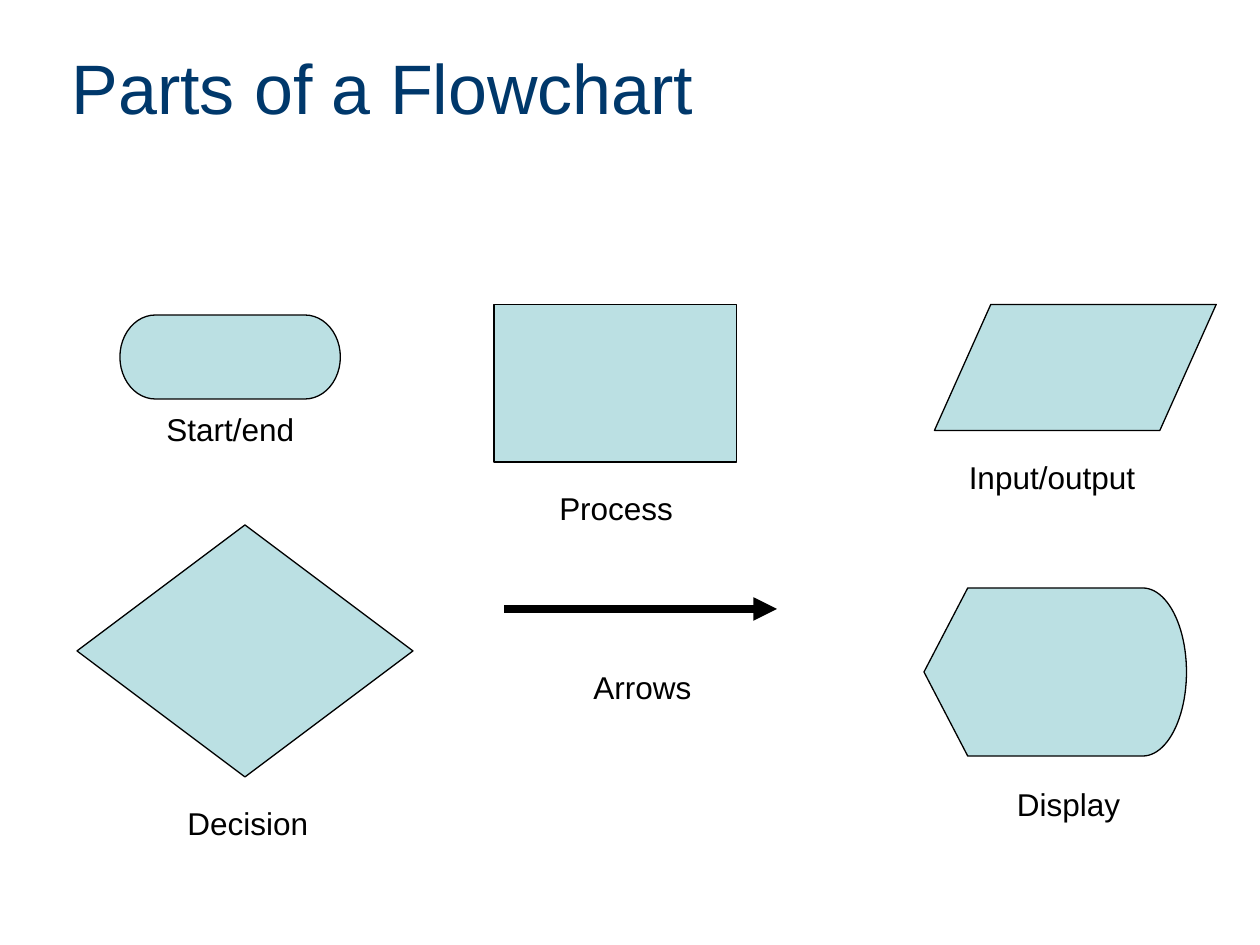
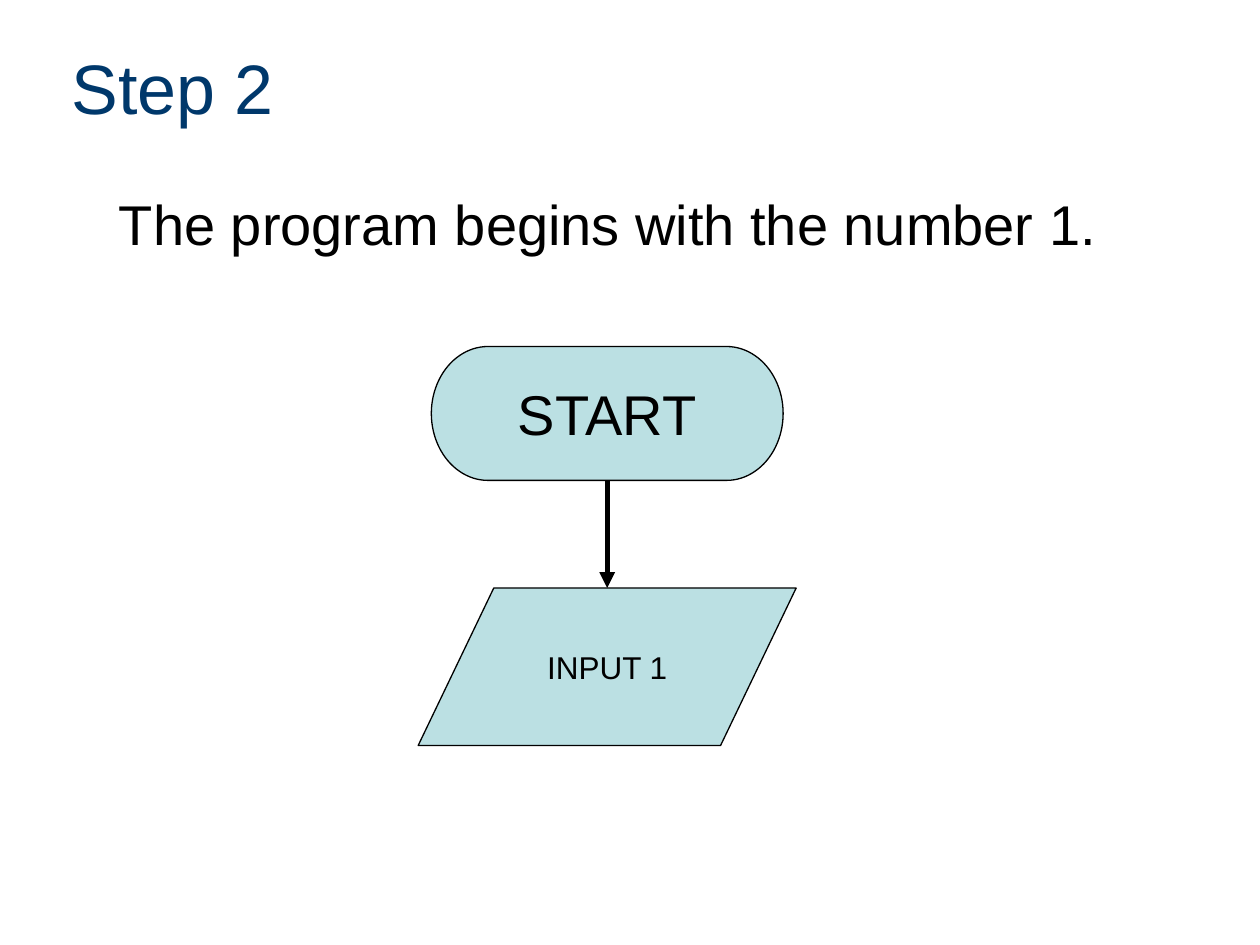
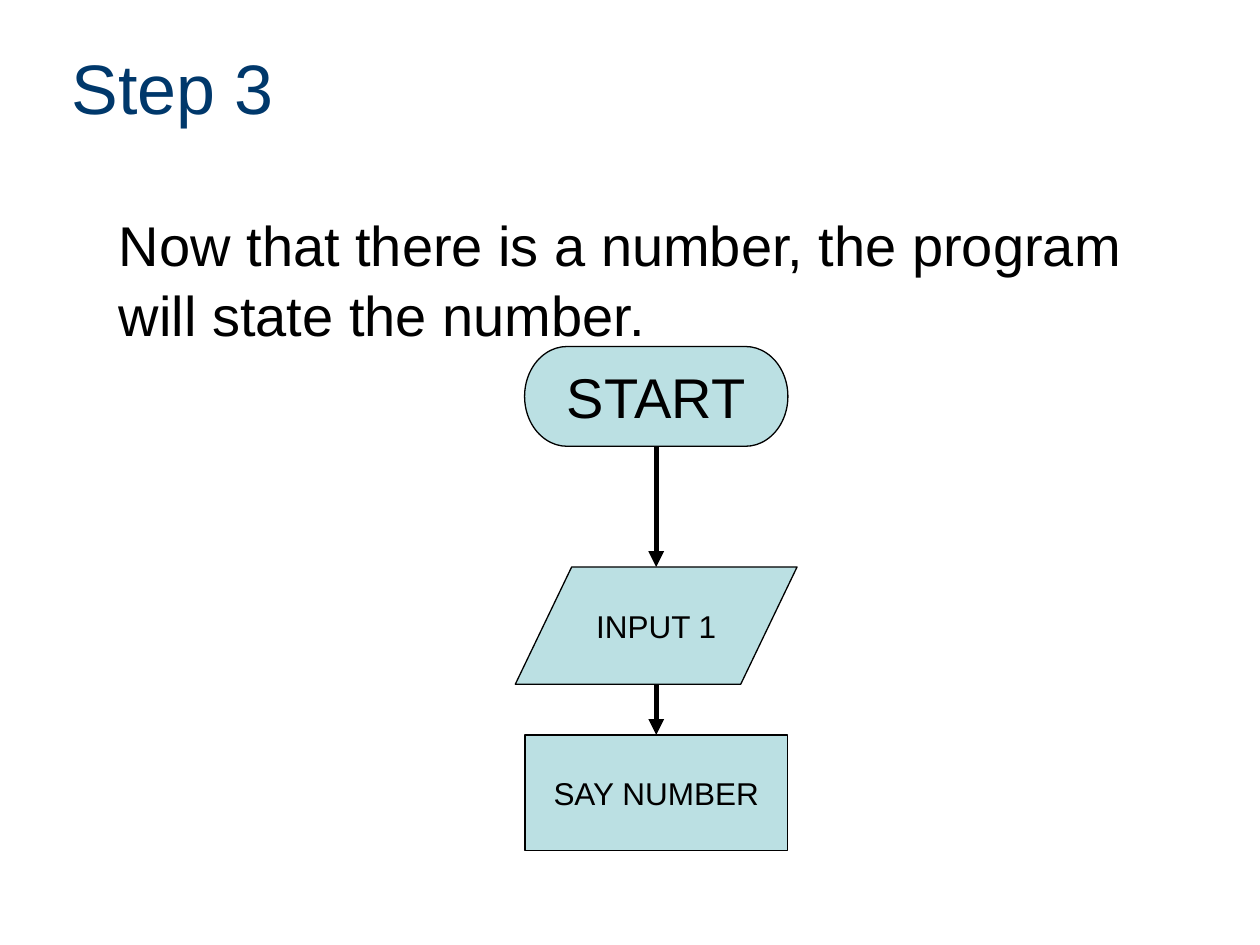
"""Build three slides that introduce flowchart symbols and two program steps."""
from dataclasses import dataclass

from lxml.etree import SubElement
from pptx import Presentation
from pptx.dml.color import RGBColor
from pptx.enum.shapes import MSO_CONNECTOR, MSO_SHAPE as SHAPE
from pptx.enum.text import MSO_ANCHOR as ANCHOR, MSO_AUTO_SIZE as AUTO, PP_ALIGN as ALIGN
from pptx.oxml.ns import qn
from pptx.util import Pt


@dataclass(frozen=True)
class Theme:
    font: str = "Arial"
    title: RGBColor = RGBColor.from_string("00386B")
    ink: RGBColor = RGBColor.from_string("000000")
    fill: RGBColor = RGBColor.from_string("BBE0E3")
    title_size: int = 40
    body_size: int = 32
    label_size: int = 18
    outline: float = 0.75


T = Theme()
TERMINATOR = SHAPE.FLOWCHART_TERMINATOR
PROCESS = SHAPE.FLOWCHART_PROCESS
DECISION = SHAPE.FLOWCHART_DECISION
DATA = SHAPE.FLOWCHART_DATA
DISPLAY = SHAPE.FLOWCHART_DISPLAY


def write(sp, text, size, color=T.ink, align=ALIGN.LEFT, anchor=ANCHOR.TOP,
          wrap=False, insets=(7.2, 3.6)):
    tf = sp.text_frame
    tf.auto_size = AUTO.NONE
    tf.word_wrap = wrap
    tf.vertical_anchor = anchor
    tf.margin_left = tf.margin_right = Pt(insets[0])
    tf.margin_top = tf.margin_bottom = Pt(insets[1])
    p = tf.paragraphs[0]
    p.alignment = align
    r = p.add_run()
    r.text = text
    r.font.name = T.font
    r.font.size = Pt(size)
    r.font.color.rgb = color
    return p


STEP_2_X, STEP_3_X = 347, 375

slides = [
    dict(
        title="Parts of a Flowchart",
        nodes=[
            (TERMINATOR, 131.5, 180, 126, 48, "", 0),
            (PROCESS, 351.5, 174, 138.5, 90, "", 0),
            (DECISION, 140, 300, 192, 144, "", 0),
            (DATA, 614.5, 174, 161, 72, "", 0),
            (DISPLAY, 603, 336, 150, 96, "", 0),
        ],
        labels=[
            ("Start/end", 88, 231, 87),
            ("Process", 312.5, 276, 79),
            ("Input/output", 546.5, 258, 109.5),
            ("Decision", 100, 456, 83.5),
            ("Arrows", 332, 378, 70.5),
            ("Display", 574, 445, 73.5),
        ],
        arrows=[(288, 348, 444, 348, 4.5)],
    ),
    dict(
        title="Step 2",
        body=("The program begins with the number 1.", 102, 380),
        nodes=[
            (TERMINATOR, STEP_2_X, 198, 201, 76.5, "START", T.body_size),
            (DATA, STEP_2_X, 336, 216, 90, "INPUT 1", T.label_size),
        ],
        arrows=[(STEP_2_X, 270, STEP_2_X, 336, 3)],
    ),
    dict(
        title="Step 3",
        body=("Now that there is a number, the program will state the number.", 114, 120),
        nodes=[
            (TERMINATOR, STEP_3_X, 198, 150.5, 57, "START", T.body_size),
            (DATA, STEP_3_X, 324, 161, 67, "INPUT 1", T.label_size),
            (PROCESS, STEP_3_X, 420, 150, 66, "SAY NUMBER", T.label_size),
        ],
        arrows=[(STEP_3_X, 252, STEP_3_X, 324, 3), (STEP_3_X, 390, STEP_3_X, 420, 3)],
    ),
]

prs = Presentation()
prs.slide_width, prs.slide_height = Pt(720), Pt(540)

for content in slides:
    s = prs.slides.add_slide(prs.slide_layouts[5])
    title = s.shapes.title
    title.left, title.top, title.width, title.height = Pt(36), Pt(21.5), Pt(648), Pt(56)
    write(title, content["title"], T.title_size, T.title, anchor=ANCHOR.MIDDLE,
          wrap=True, insets=(5, 3.6))

    if "body" in content:
        text, top, height = content["body"]
        body = s.shapes.add_textbox(Pt(36), Pt(top), Pt(648), Pt(height))
        p = write(body, text, T.body_size, wrap=True, insets=(5, 5))
        p.line_spacing = 1.04
        body.text_frame.margin_left = Pt(32)

    for x1, y1, x2, y2, width in content["arrows"]:
        arrow = s.shapes.add_connector(MSO_CONNECTOR.STRAIGHT, Pt(x1), Pt(y1), Pt(x2), Pt(y2))
        arrow.line.color.rgb = T.ink
        arrow.line.width = Pt(width)
        SubElement(arrow.line._get_or_add_ln(), qn("a:tailEnd"), type="triangle")
        SubElement(arrow._element.spPr, qn("a:effectLst"))

    for kind, center, top, width, height, text, size in content["nodes"]:
        node = s.shapes.add_shape(kind, Pt(center - width / 2), Pt(top), Pt(width), Pt(height))
        node.shadow.inherit = False
        node.fill.solid()
        node.fill.fore_color.rgb = T.fill
        node.line.color.rgb = T.ink
        node.line.width = Pt(T.outline)
        if text:
            write(node, text, size, align=ALIGN.CENTER, anchor=ANCHOR.MIDDLE)

    for text, left, top, width in content.get("labels", []):
        label = s.shapes.add_textbox(Pt(left), Pt(top), Pt(width), Pt(29))
        write(label, text, T.label_size)

prs.save("out.pptx")
